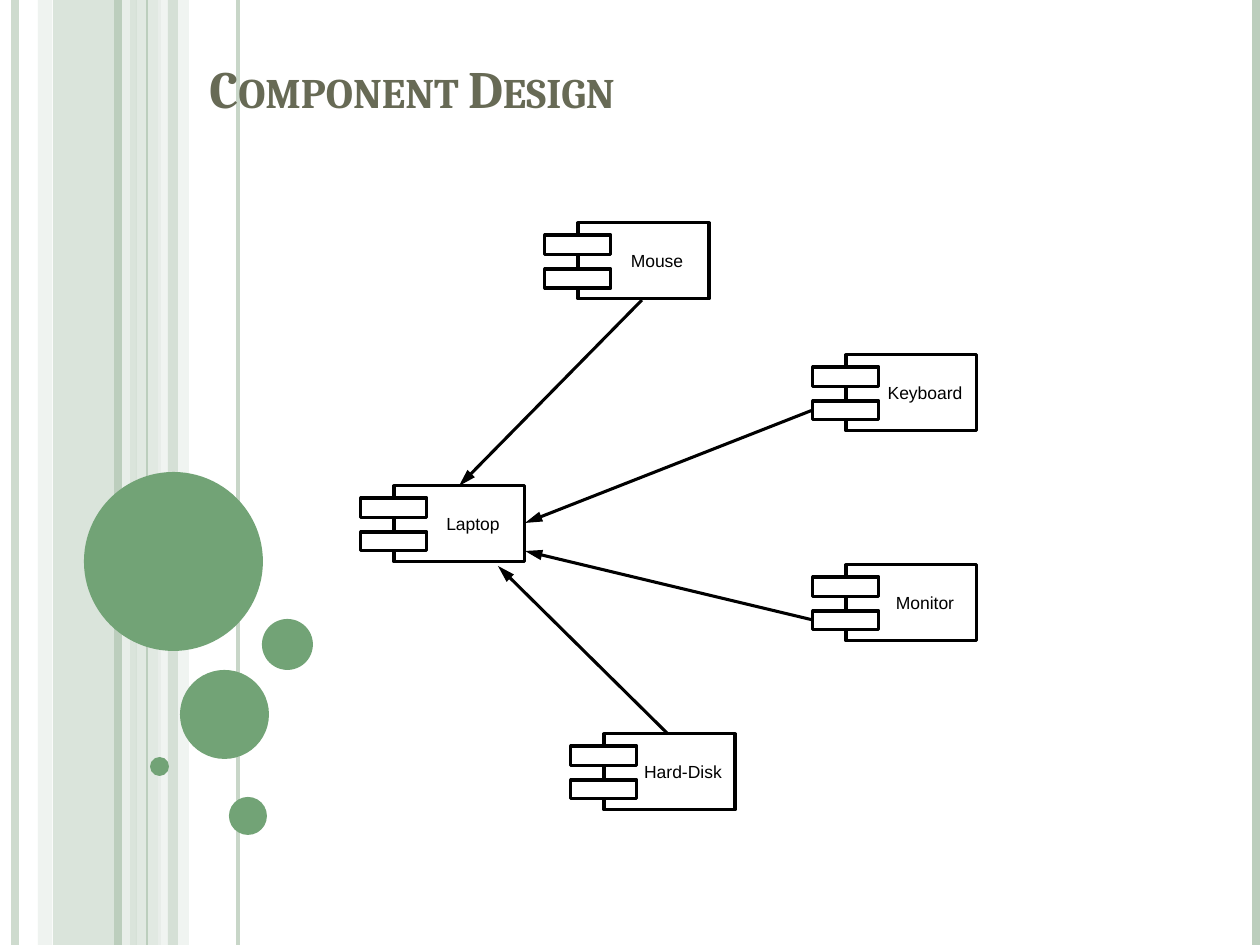
import pptx
import pptx.util
import pptx.dml.color
import pptx.enum.shapes
import pptx.enum.text
import pptx.oxml
import pptx.oxml.ns
from dataclasses import dataclass
from lxml import etree

PX = 914400 // 126
W, H = 1260, 945
SHAPE = pptx.enum.shapes.MSO_SHAPE
ALIGN = pptx.enum.text.PP_ALIGN
ANCHOR = pptx.enum.text.MSO_ANCHOR


@dataclass(frozen=True)
class Theme:
    sage: str = "BCCEBD"
    pale: str = "D5E0D6"
    mist: str = "EBF0EC"
    green: str = "72A376"
    olive: str = "676A55"
    ink: str = "000000"
    paper: str = "FFFFFF"
    title_font: str = "Cambria"
    label_font: str = "Arial"
    title_size: int = 30
    label_size: int = 10
    stroke: float = 1.75


T = Theme()


def px(*values):
    return [pptx.util.Emu(v * PX) for v in values]


def paint(fill, color, alpha=100):
    fill.solid()
    fill.fore_color.rgb = pptx.dml.color.RGBColor.from_string(color)
    if alpha < 100:
        clr = fill._xPr.find(".//" + pptx.oxml.ns.qn("a:srgbClr"))
        etree.SubElement(clr, pptx.oxml.ns.qn("a:alpha"), val=str(alpha * 1000))


def add_block(s, kind, box, color, alpha=100, outline=None):
    sp = s.shapes.add_shape(kind, *px(*box))
    sp.shadow.inherit = False
    paint(sp.fill, color, alpha)
    if outline:
        paint(sp.line.fill, outline)
        sp.line.width = pptx.util.Pt(T.stroke)
    else:
        sp.line.fill.background()
    return sp


def add_line(s, start, end, color, width, alpha=100):
    kind = pptx.enum.shapes.MSO_CONNECTOR.STRAIGHT
    sp = s.shapes.add_connector(kind, *px(*start, *end))
    paint(sp.line.fill, color, alpha)
    sp.line.width = pptx.util.Pt(width)
    etree.SubElement(sp._element.spPr, pptx.oxml.ns.qn("a:effectLst"))
    return sp


def add_text(s, box, text, font, size, color, anchor):
    sp = s.shapes.add_textbox(*px(*box))
    tf = sp.text_frame
    tf.word_wrap = True
    tf.vertical_anchor = anchor
    p = tf.paragraphs[0]
    p.text = text
    p.font.name = font
    p.font.size = pptx.util.Pt(size)
    p.font.color.rgb = pptx.dml.color.RGBColor.from_string(color)
    return tf


def add_stripes(s, box):
    x, y, w, h = box
    bands = [(53, 84, T.sage, 54), (38, 14, T.pale, 36),
             (136, 25, T.pale, 70), (158, 31, T.mist, 71)]
    rules = [(15, T.sage, 4.5, 73), (126, T.mist, 4.5, 83),
             (118, T.sage, 4.5, 100), (238, T.sage, 2.25, 82),
             (147, T.sage, 0.75, 100), (w - 4, T.sage, 4.5, 100)]
    for dx, width, color, alpha in bands:
        add_block(s, SHAPE.RECTANGLE, (x + dx, y, width, h), color, alpha)
    for dx, color, width, alpha in rules:
        add_line(s, (x + dx, y), (x + dx, y + h), color, width, alpha)
    add_block(s, SHAPE.RECTANGLE, (x + 168, y, 10, h), T.sage, 51)


def add_bubbles(s, box):
    x, y = box[:2]
    for dx, dy, d in [(0, 0, 179), (96, 198, 89), (66, 285, 19),
                      (145, 325, 38), (178, 147, 51)]:
        add_block(s, SHAPE.OVAL, (x + dx, y + dy, d, d), T.green)


def add_title(s, box, text):
    tf = add_text(s, box, text, T.title_font, T.title_size, T.olive, ANCHOR.BOTTOM)
    font = tf.paragraphs[0].font
    font.bold = True
    font._rPr.set("cap", "small")


def add_component(s, box, name):
    x, y, w, h = box
    for part in [(x + 33, y, w - 33, h), (x, y + 12, 66, 20), (x, y + 46, 66, 19)]:
        add_block(s, SHAPE.RECTANGLE, part, T.paper, outline=T.ink)
    tf = add_text(s, (x + 62, y, 100, h), name, T.label_font, T.label_size,
                  T.ink, ANCHOR.MIDDLE)
    tf.margin_left = tf.margin_right = tf.margin_top = tf.margin_bottom = 0
    tf.paragraphs[0].alignment = ALIGN.CENTER


def add_arrow(s, start, end):
    sp = add_line(s, start, end, T.ink, T.stroke)
    etree.SubElement(sp.line._get_or_add_ln(), pptx.oxml.ns.qn("a:tailEnd"),
                     type="triangle", w="med", len="lg")


def add_diagram(s, box):
    x, y = box[:2]
    components = [("Laptop", 0, 263), ("Mouse", 184, 0), ("Keyboard", 452, 132),
                  ("Hard-Disk", 210, 511), ("Monitor", 452, 342)]
    arrows = [((281, 77), (98, 263)), ((452, 187), (164, 300)),
              ((452, 397), (164, 328)), ((307, 511), (137, 343))]
    for name, dx, dy in components:
        add_component(s, (x + dx, y + dy, 164, 76), name)
    for (x1, y1), (x2, y2) in arrows:
        add_arrow(s, (x + x1, y + y1), (x + x2, y + y2))


def main():
    prs = pptx.Presentation()
    prs.slide_width, prs.slide_height = px(W, H)
    s = prs.slides.add_slide(prs.slide_layouts[6])
    paint(s.background.fill, T.paper)
    add_stripes(s, (0, 0, W, H))
    add_bubbles(s, (84, 472, 229, 363))
    add_title(s, (197, 45, 946, 80), "Component Design")
    add_diagram(s, (361, 223, 616, 587))
    prs.save("out.pptx")


if __name__ == "__main__":
    main()
